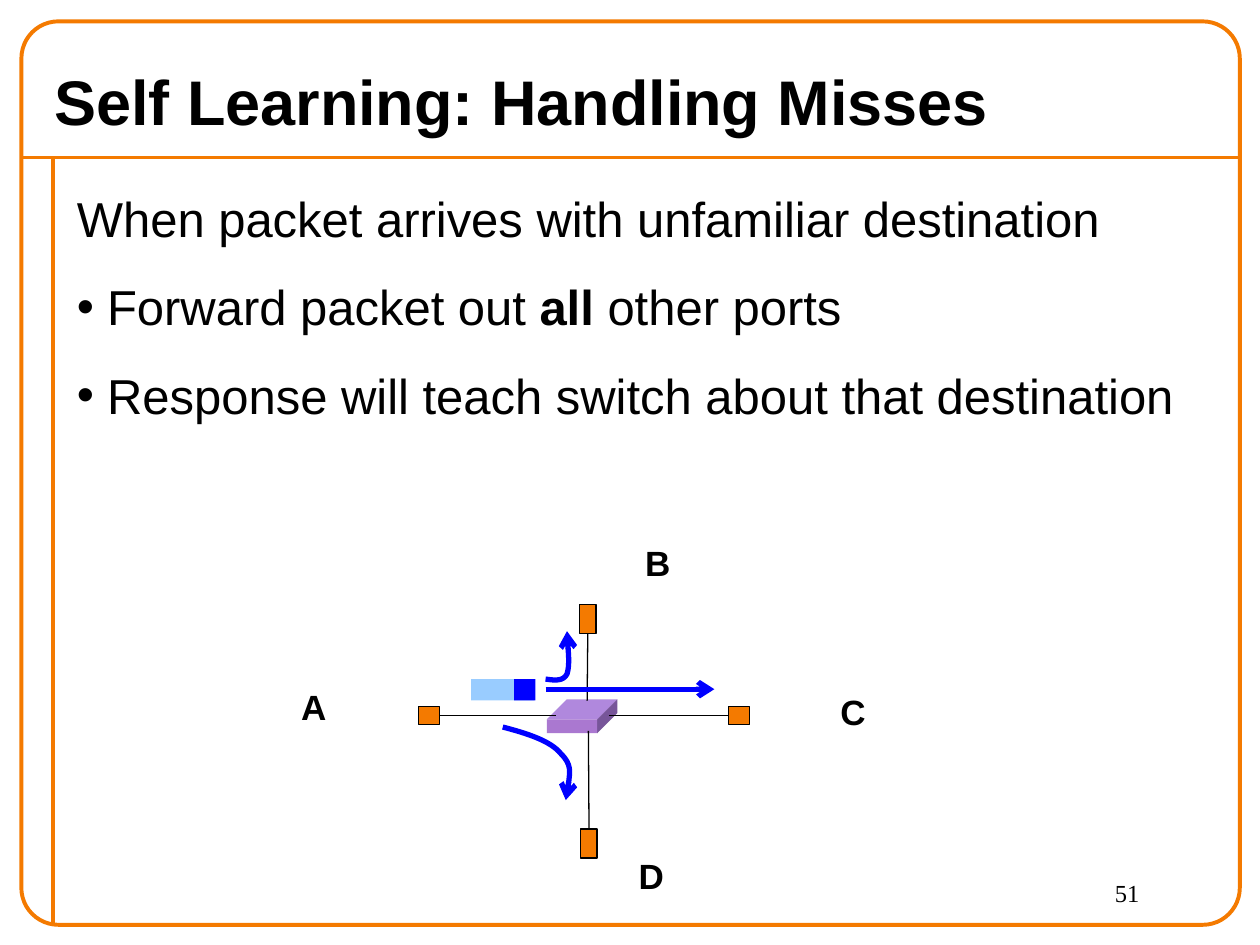
from lxml.etree import SubElement
from pptx import Presentation
from pptx.dml.color import RGBColor
from pptx.enum.shapes import MSO_CONNECTOR as Connector, MSO_SHAPE as Shape
from pptx.enum.text import MSO_ANCHOR as Anchor, MSO_AUTO_SIZE as AutoSize, PP_ALIGN as Align
from pptx.oxml.ns import qn
from pptx.util import Inches, Pt

COLORS = {
    "black": "000000", "orange": "F47A00", "blue": "0000FF", "sky": "99CCFF",
    "switch_top": "B088DD", "switch_front": "AA78D0", "switch_side": "775599",
}
TOP, LEFT, BOTTOM, RIGHT = range(4)


def color(name):
    return RGBColor.from_string(COLORS[name])


def style_shape(shape, fill=None, line=None, width=0.75):
    shape.shadow.inherit = False
    if fill:
        shape.fill.solid()
        shape.fill.fore_color.rgb = color(fill)
    else:
        shape.fill.background()
    if line:
        shape.line.color.rgb = color(line)
        shape.line.width = Pt(width)
    else:
        shape.line.fill.background()


def add_box(slide, box, fill=None, line=None, width=0.75, kind=Shape.RECTANGLE):
    shape = slide.shapes.add_shape(kind, *map(Inches, box))
    style_shape(shape, fill, line, width)
    return shape


def add_line(slide, start, end, line="black", width=0.75):
    connector = slide.shapes.add_connector(
        Connector.STRAIGHT, *map(Inches, (*start, *end)))
    connector.line.color.rgb = color(line)
    connector.line.width = Pt(width)
    SubElement(connector.element.spPr, qn("a:effectLst"))
    return connector


def add_arrowhead(shape):
    SubElement(shape.line._get_or_add_ln(), qn("a:tailEnd"), type="arrow")


def add_outline(slide, points, close):
    """Draw through points in inches; the builder needs whole EMU units."""
    start, *others = [(Inches(x), Inches(y)) for x, y in points]
    builder = slide.shapes.build_freeform(*start)
    builder.add_line_segments(others, close=close)
    return builder.convert_to_shape()


def add_curved_arrow(slide, points):
    """Treat every three points after the first as one Bezier segment."""
    shape = add_outline(slide, points, close=False)
    segments = list(shape.element.iter(qn("a:lnTo")))
    for first in range(0, len(segments), 3):
        curve = SubElement(segments[first].getparent(), qn("a:cubicBezTo"))
        for segment in segments[first:first + 3]:
            curve.append(segment[0])
            segment.getparent().remove(segment)
    style_shape(shape, line="blue", width=3)
    add_arrowhead(shape)


def add_run(paragraph, text, size, bold=False, font="Arial"):
    run = paragraph.add_run()
    run.text = text
    run.font.name = font
    run.font.size = Pt(size)
    run.font.bold = bold
    run.font.color.rgb = color("black")


def add_label(slide, text, box, size=20, bold=True, font="Arial", align=Align.CENTER):
    frame = slide.shapes.add_textbox(*map(Inches, box)).text_frame
    frame.word_wrap = False
    paragraph = frame.paragraphs[0]
    paragraph.alignment = align
    add_run(paragraph, text, size, bold, font)


def place(placeholder, box, anchor):
    placeholder.left, placeholder.top, placeholder.width, placeholder.height = map(Inches, box)
    frame = placeholder.text_frame
    frame.auto_size = AutoSize.NONE
    frame.word_wrap = True
    frame.vertical_anchor = anchor
    return frame


def set_bullet(paragraph, bullet):
    properties = paragraph._p.get_or_add_pPr()
    indent = Inches(0.24) if bullet else 0
    properties.set("marL", str(indent))
    properties.set("indent", str(-indent))
    if bullet:
        SubElement(properties, qn("a:buChar"), char="•")
    else:
        SubElement(properties, qn("a:buNone"))


def fill_title(slide):
    frame = place(slide.shapes.title, (0.33, 0.42, 8.82, 0.75), Anchor.MIDDLE)
    paragraph = frame.paragraphs[0]
    paragraph.alignment = Align.LEFT
    add_run(paragraph, "Self Learning: Handling Misses", 36, bold=True)


def fill_body(slide):
    frame = place(slide.placeholders[1], (0.51, 1.4, 9.25, 1.77), Anchor.TOP)
    lines = [
        [("When packet arrives with unfamiliar destination", False)],
        [("Forward packet out ", False), ("all ", True), ("other ports", False)],
        [("Response will teach switch about that destination", False)],
    ]
    for index, runs in enumerate(lines):
        paragraph = frame.add_paragraph() if index else frame.paragraphs[0]
        paragraph.line_spacing = 1.1
        paragraph.space_before = Pt(13.5 if index else 0)
        set_bullet(paragraph, bullet=index > 0)
        for text, bold in runs:
            add_run(paragraph, text, 28, bold)


def add_frame(slide):
    add_line(slide, (0.17, 1.25), (9.83, 1.25), "orange", 2.25)
    add_line(slide, (0.42, 1.25), (0.42, 7.33), "orange", 2.25)
    border = add_box(slide, (0.17, 0.17, 9.67, 7.17), line="orange", width=2.25,
                     kind=Shape.ROUNDED_RECTANGLE)
    border.adjustments[0] = 0.041


def add_switch(slide):
    left, right, top, bottom = 4.34, 4.74, 5.71, 5.82
    depth = 0.16
    faces = {
        "switch_top": [(left, top), (left + depth, top - depth),
                       (right + depth, top - depth), (right, top)],
        "switch_side": [(right, top), (right + depth, top - depth),
                        (right + depth, bottom - depth), (right, bottom)],
    }
    for fill, points in faces.items():
        style_shape(add_outline(slide, points, close=True), fill)
    add_box(slide, (left, top, right - left, bottom - top), "switch_front")


def add_hosts(slide):
    """Draw each host with its label and its link to the switch."""
    wide, tall = (0.17, 0.14), (0.13, 0.23)
    hosts = [
        ("A", (2.29, 5.39), (3.32, 5.61), wide, RIGHT, (4.41, 5.68)),
        ("B", (5.02, 4.25), (4.6, 4.8), tall, BOTTOM, (4.66, 5.56)),
        ("C", (6.57, 5.43), (5.78, 5.61), wide, LEFT, (4.83, 5.68)),
        ("D", (4.97, 6.73), (4.61, 6.58), tall, TOP, (4.67, 5.8)),
    ]
    for name, label_at, host_at, size, side, switch_port in hosts:
        host = add_box(slide, (*host_at, *size), "orange", "black")
        link = add_line(slide, host_at, switch_port)
        link.begin_connect(host, side)
        add_label(slide, name, (*label_at, 0.4, 0.43))


def add_packet(slide):
    add_box(slide, (3.74, 5.39, 0.5, 0.17), "sky")
    add_box(slide, (4.08, 5.39, 0.17, 0.17), "blue")
    add_curved_arrow(slide, [(4.33, 5.39), (4.4, 5.4), (4.47, 5.41), (4.5, 5.35),
                             (4.52, 5.28), (4.51, 5.15), (4.5, 5.01)])
    add_curved_arrow(slide, [(3.99, 5.77), (4.18, 5.82), (4.37, 5.88), (4.45, 5.98),
                             (4.54, 6.07), (4.52, 6.21), (4.49, 6.35)])
    add_arrowhead(add_line(slide, (4.33, 5.47), (5.67, 5.47), "blue", 3))


def main():
    presentation = Presentation()
    presentation.slide_width, presentation.slide_height = Inches(10), Inches(7.5)
    slide = presentation.slides.add_slide(presentation.slide_layouts[1])
    add_frame(slide)
    fill_title(slide)
    fill_body(slide)
    add_switch(slide)
    add_hosts(slide)
    add_packet(slide)
    add_label(slide, "51", (8.75, 6.92, 1, 0.42), 14, False, "Times New Roman", Align.LEFT)
    presentation.save("out.pptx")


if __name__ == "__main__":
    main()
